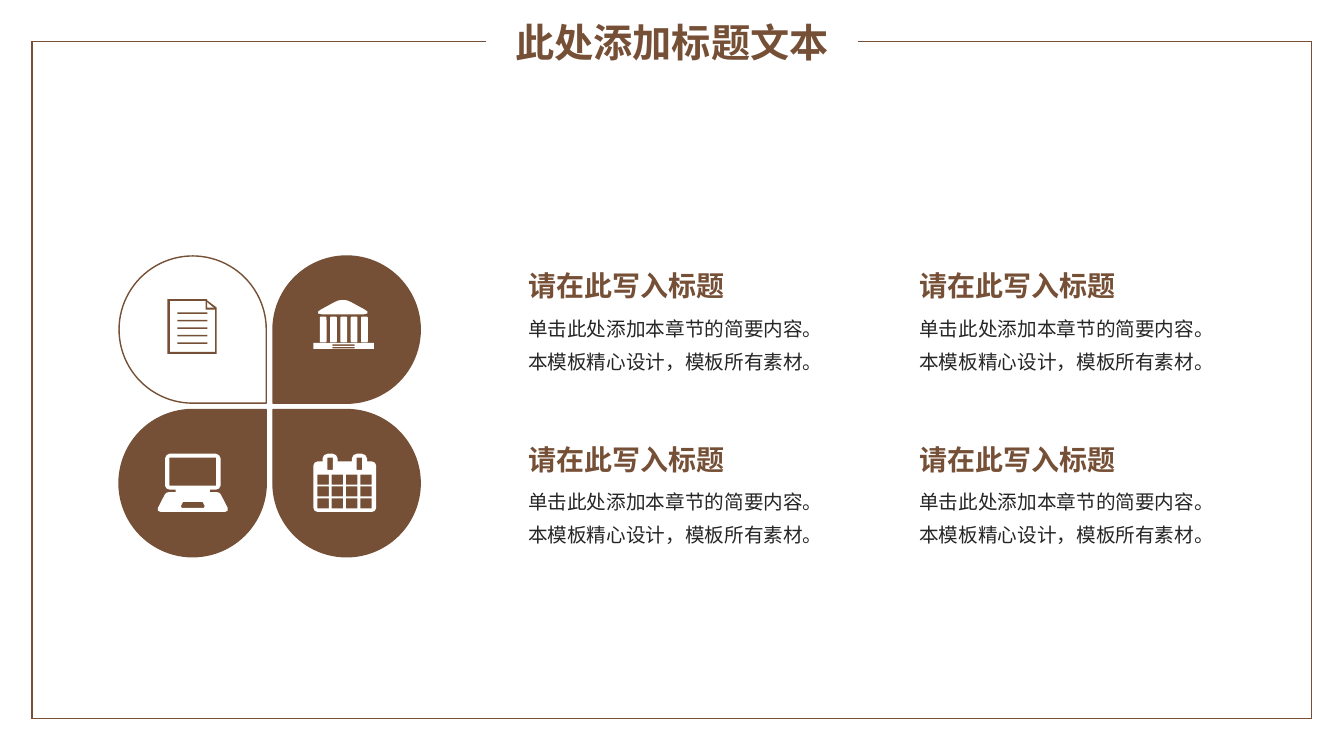
from lxml import etree
from pptx import Presentation
from pptx import util as u
from pptx.dml.color import RGBColor
from pptx.enum import shapes as kinds, text
from pptx.oxml.ns import qn

BROWN = RGBColor(0x76, 0x50, 0x36)
WHITE = RGBColor(0xFF, 0xFF, 0xFF)
DARK = RGBColor(0x26, 0x26, 0x26)
FONT = "Noto Sans CJK SC"

TITLE = "此处添加标题文本"
HEADING = "请在此写入标题"
BODY = "单击此处添加本章节的简要内容。本模板精心设计，模板所有素材。"


# All lengths below are centimetres.
def add_line(shapes, x1, y1, x2, y2):
    line = shapes.add_connector(
        kinds.MSO_CONNECTOR.STRAIGHT, u.Cm(x1), u.Cm(y1), u.Cm(x2), u.Cm(y2))
    line.line.color.rgb = BROWN
    line.line.width = u.Pt(1)
    etree.SubElement(line._element.spPr, qn("a:effectLst"))


def paint(shape, colour):
    shape.shadow.inherit = False
    shape.fill.solid()
    shape.fill.fore_color.rgb = colour
    shape.line.fill.background()


def add_bar(shapes, kind, left, top, width, height, colour):
    bar = shapes.add_shape(kind, u.Cm(left), u.Cm(top), u.Cm(width), u.Cm(height))
    paint(bar, colour)


def add_outline(shapes, contours, colour):
    """Draw one shape from closed contours; inner contours become holes."""
    contours = [[(u.Cm(x), u.Cm(y)) for x, y in contour] for contour in contours]
    builder = shapes.build_freeform(*contours[0][0])
    for index, (start, *rest) in enumerate(contours):
        if index:
            builder.move_to(*start)
        builder.add_line_segments(rest)
    paint(builder.convert_to_shape(), colour)


def mirror(centre, half):
    """Complete a symmetrical contour from its right half (offset, y)."""
    return ([(centre + dx, y) for dx, y in half]
            + [(centre - dx, y) for dx, y in reversed(half)])


def box(left, top, width, height):
    right, bottom = left + width, top + height
    return [(left, top), (right, top), (right, bottom), (left, bottom)]


def add_petal(shapes, left, top, rotation, filled):
    size = u.Cm(3.71)
    petal = shapes.add_shape(kinds.MSO_SHAPE.TEAR, u.Cm(left), u.Cm(top), size, size)
    paint(petal, BROWN)
    if not filled:
        petal.fill.background()
    petal.line.color.rgb = BROWN
    petal.line.width = u.Pt(1)
    petal.rotation = rotation


def add_text(shapes, left, top, width, height, content, size, colour,
             bold=False, wrap=True, align=text.PP_ALIGN.LEFT, spacing=None):
    textbox = shapes.add_textbox(u.Cm(left), u.Cm(top), u.Cm(width), u.Cm(height))
    frame = textbox.text_frame
    frame.word_wrap = wrap
    frame.auto_size = text.MSO_AUTO_SIZE.SHAPE_TO_FIT_TEXT
    paragraph = frame.paragraphs[0]
    paragraph.text = content
    paragraph.alignment = align
    paragraph.line_spacing = spacing
    font = paragraph.font
    font.size, font.bold, font.name = u.Pt(size), bold, FONT
    font.color.rgb = colour
    # East Asian typeface
    properties = paragraph._p.pPr.find(qn("a:defRPr"))
    etree.SubElement(properties, qn("a:ea")).set("typeface", FONT)


def add_frame(shapes):
    left, top, right, bottom = 0.81, 1.04, 33.05, 18.11
    add_line(shapes, right, top, right, bottom)
    add_line(shapes, right, bottom, left, bottom)
    add_line(shapes, left, top, left, bottom)
    add_line(shapes, 12.24, top, left, top)
    add_line(shapes, right, top, 21.62, top)


def add_bank(shapes):
    for column in range(5):
        add_bar(shapes, kinds.MSO_SHAPE.ROUNDED_RECTANGLE,
                8.06 + 0.26 * column, 7.98, 0.17, 0.65, WHITE)
    roof = [(0, 7.56), (0.11, 7.57), (0.22, 7.62), (0.55, 7.8),
            (0.62, 7.85), (0.62, 7.9), (0.53, 7.92)]
    add_outline(shapes, [mirror(8.64, roof)], WHITE)
    steps = [box(8.38, y, 0.56, 0.04) for y in (8.68, 8.74)]
    add_outline(shapes, [box(7.9, 8.64, 1.52, 0.15), *steps], WHITE)


def add_laptop(shapes):
    centre = 4.86
    body = [(0.58, 11.43), (0.66, 11.47), (0.7, 11.55), (0.7, 12.24),
            (0.66, 12.31), (0.58, 12.34), (0.43, 12.34), (0.43, 12.4),
            (0.6, 12.4), (0.67, 12.42), (0.71, 12.47), (0.88, 12.8),
            (0.88, 12.87), (0.81, 12.9)]
    trackpad = [(0.25, 12.65), (0.3, 12.75), (0.28, 12.8)]
    add_outline(shapes, [mirror(centre, body), box(4.27, 11.53, 1.18, 0.71),
                         mirror(centre, trackpad)], WHITE)


def add_calendar(shapes):
    centre = 8.69
    body = [(0.18, 11.63), (0.18, 11.55), (0.22, 11.47), (0.31, 11.43),
            (0.42, 11.43), (0.52, 11.47), (0.56, 11.55), (0.56, 11.63),
            (0.69, 11.63), (0.76, 11.66), (0.79, 11.73), (0.79, 12.8),
            (0.76, 12.87), (0.69, 12.9)]
    slots = [box(centre + side * 0.37 - 0.07, 11.53, 0.14, 0.31) for side in (-1, 1)]
    days = [box(8 + 0.36 * column, 11.96 + 0.3 * row, 0.29, 0.25)
            for row in range(3) for column in range(4)]
    add_outline(shapes, [mirror(centre, body), *slots, *days], WHITE)


def add_document(shapes):
    page = [(4.22, 8.92), (4.22, 7.54), (5.18, 7.54), (5.46, 7.75), (5.46, 8.92)]
    inside = [(4.28, 8.87), (4.28, 7.58), (5.18, 7.58), (5.42, 7.78), (5.42, 8.87)]
    fold = [(5.18, 7.8), (5.18, 7.54), (5.22, 7.54), (5.22, 7.75),
            (5.44, 7.75), (5.44, 7.8)]
    add_outline(shapes, [page, inside], BROWN)
    for row in range(5):
        add_bar(shapes, kinds.MSO_SHAPE.RECTANGLE,
                4.47, 7.87 + 0.19 * row, 0.76, 0.04, BROWN)
    add_outline(shapes, [fold], BROWN)


def main():
    presentation = Presentation()
    presentation.slide_width, presentation.slide_height = u.Cm(33.87), u.Cm(19.05)
    slide = presentation.slides.add_slide(presentation.slide_layouts[6])
    shapes = slide.shapes

    # Frame and title
    add_frame(shapes.add_group_shape().shapes)
    add_text(shapes, 12.73, 0.33, 8.41, 1.45, TITLE, 28, BROWN, bold=True,
             wrap=False, align=text.PP_ALIGN.CENTER)

    # Four petals pointing to the centre
    for column, row, rotation in ((0, 1, 0), (1, 0, 180), (0, 0, 90), (1, 1, 270)):
        add_petal(shapes, 3 + 3.88 * column, 6.45 + 3.87 * row, rotation,
                  filled=bool(column or row))

    # Icons
    add_bank(shapes.add_group_shape().shapes)
    add_laptop(shapes)
    add_calendar(shapes)
    add_document(shapes.add_group_shape().shapes)

    # Two by two text blocks
    for column in range(2):
        for row in range(2):
            block = shapes.add_group_shape().shapes
            left, top = 13.06 + 9.86 * column, 6.65 + 4.37 * row
            add_text(block, left, top + 0.97, 8.05, 1.93, BODY, 14, DARK, spacing=1.4)
            add_text(block, left, top, 8.43, 1.12, HEADING, 20, BROWN, bold=True)

    presentation.save("out.pptx")


if __name__ == "__main__":
    main()
